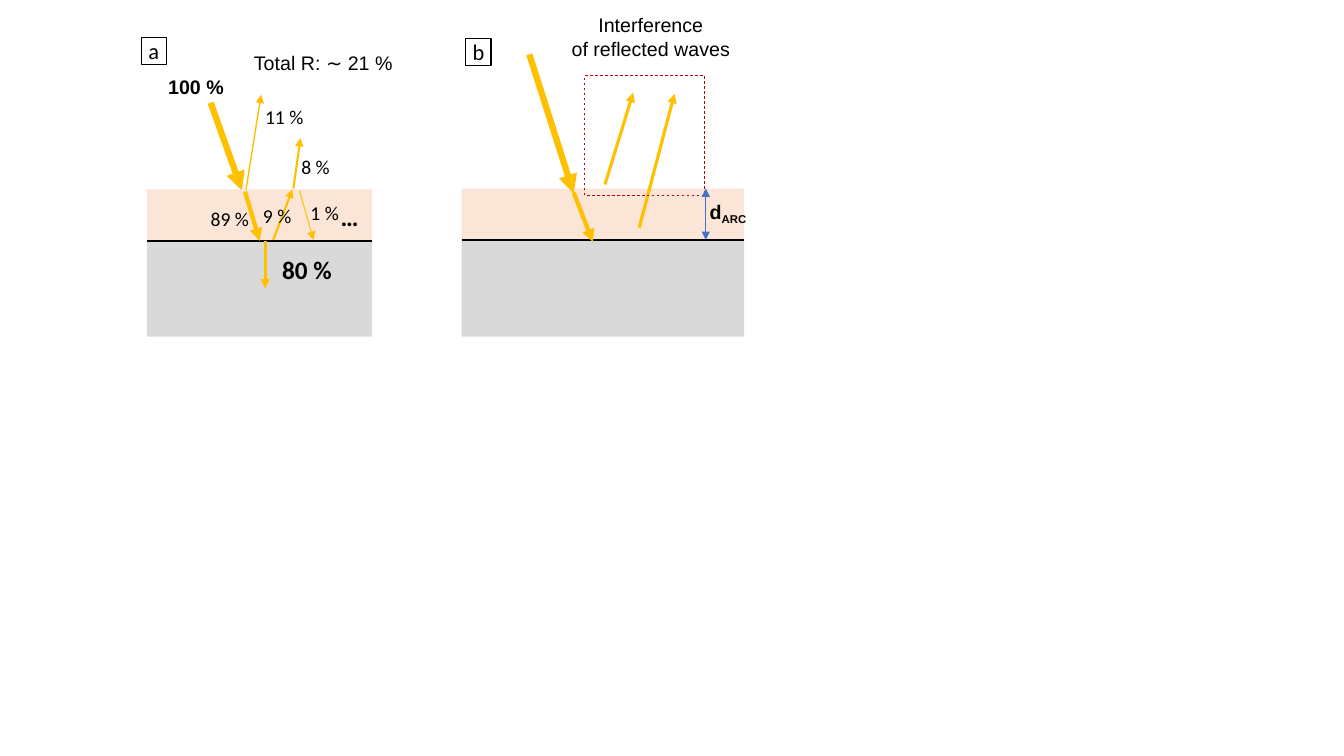
from lxml import etree
from pptx import Presentation
from pptx.dml.color import RGBColor
from pptx.enum import dml, shapes, text
from pptx.oxml import ns
from pptx.util import Inches, Pt

BLACK = RGBColor(0x00, 0x00, 0x00)
WHITE = RGBColor(0xFF, 0xFF, 0xFF)
FILM = RGBColor(0xFB, 0xE5, 0xD6)
SUBSTRATE = RGBColor(0xD9, 0xD9, 0xD9)
LIGHT = RGBColor(0xFF, 0xC0, 0x00)
DARK_RED = RGBColor(0xC0, 0x00, 0x00)
BLUE = RGBColor(0x44, 0x72, 0xC4)


def write(tf, content, font="Calibri", size=14, bold=False, centred=False, subscript=""):
    """Fill a text frame, one paragraph per line, with an optional closing subscript."""
    for i, line in enumerate(content.split("\n")):
        p = tf.paragraphs[0] if i == 0 else tf.add_paragraph()
        p.alignment = text.PP_ALIGN.CENTER if centred else text.PP_ALIGN.LEFT
        for part in filter(None, (line, subscript)):
            r = p.add_run()
            r.text = part
            r.font.name = font
            r.font.size = Pt(size)
            r.font.bold = bold
            r.font.color.rgb = BLACK
            if part == subscript:
                r._r.get_or_add_rPr().set("baseline", "-25000")


class Diagram:
    def __init__(self, slide):
        self.shapes = slide.shapes

    def rect(self, x, y, w, h, fill=None, line=None, weight=0.75, dash=None):
        sp = self.shapes.add_shape(shapes.MSO_SHAPE.RECTANGLE,
                                   Inches(x), Inches(y), Inches(w), Inches(h))
        sp.shadow.inherit = False
        if fill is None:
            sp.fill.background()
        else:
            sp.fill.solid()
            sp.fill.fore_color.rgb = fill
        if line is None:
            sp.line.fill.background()
        else:
            sp.line.color.rgb = line
            sp.line.width = Pt(weight)
            sp.line.dash_style = dash
        return sp

    def line(self, start, end, weight, color=LIGHT, heads=("tailEnd",)):
        """Draw a straight line; tailEnd puts an arrowhead at its end, headEnd at its start."""
        ends = [Inches(v) for v in (*start, *end)]
        cxn = self.shapes.add_connector(shapes.MSO_CONNECTOR.STRAIGHT, *ends)
        cxn.line.color.rgb = color
        cxn.line.width = Pt(weight)
        ln = cxn.line._get_or_add_ln()
        for head in heads:
            etree.SubElement(ln, ns.qn("a:" + head), type="triangle")
        etree.SubElement(cxn._element.spPr, ns.qn("a:effectLst"))
        return cxn

    def label(self, x, y, w, h, content, wrap=False, **style):
        box = self.shapes.add_textbox(Inches(x), Inches(y), Inches(w), Inches(h))
        tf = box.text_frame
        tf.word_wrap = wrap
        tf.auto_size = text.MSO_AUTO_SIZE.SHAPE_TO_FIT_TEXT
        write(tf, content, **style)

    def layers(self, x, w, film_top, interface):
        """Draw coating, substrate and the line between them; return the substrate."""
        self.rect(x, film_top, w, 0.51, fill=FILM)
        substrate = self.rect(x, 2.39, w, 0.95, fill=SUBSTRATE)
        self.line((x, interface), (x + w, interface), 1, BLACK, heads=())
        return substrate

    def panel_letter(self, x, y, letter):
        tf = self.rect(x, y, 0.25, 0.27, fill=WHITE, line=BLACK).text_frame
        tf.margin_left = tf.margin_right = tf.margin_top = tf.margin_bottom = 0
        tf.auto_size = text.MSO_AUTO_SIZE.SHAPE_TO_FIT_TEXT
        write(tf, letter, size=16, centred=True)


def draw_intensities(d):
    d.line((2.09, 1.02), (2.4, 1.89), 4.5)
    substrate = d.layers(1.46, 2.23, 1.88, 2.39)
    transmitted = d.line((2.43, 1.9), (2.57, 2.39), 3)
    transmitted.end_connect(substrate, 0)
    for start, end, weight in [
        ((2.63, 2.39), (2.63, 2.86), 2.25),
        ((2.44, 1.88), (2.59, 0.94), 1),
        ((2.71, 2.38), (2.9, 1.88), 1.5),
        ((2.91, 1.87), (2.98, 1.37), 1.5),
        ((2.97, 1.89), (3.11, 2.38), 0.75),
    ]:
        d.line(start, end, weight)
    for x, y, w, share in [
        (2.53, 0.99, 0.59, "11 %"),
        (1.99, 2, 0.59, "89 %"),
        (2.51, 1.97, 0.49, "9 %"),
        (2.89, 1.49, 0.49, "8 %"),
        (2.98, 1.94, 0.49, "1 %"),
    ]:
        d.label(x, y, w, 0.34, share)
    d.label(1.57, 0.69, 0.76, 0.34, "100 %", font="Arial", bold=True)
    d.label(2.7, 2.47, 0.7, 0.4, "80 %", size=18, bold=True)
    d.label(2.42, 0.46, 1.71, 0.34, "Total R: ∼ 21 %", wrap=True, font="Arial")
    d.label(3.28, 1.95, 0.39, 0.4, "…", wrap=True, size=18, bold=True)
    d.panel_letter(1.4, 0.37, "a")


def draw_interference(d):
    d.layers(4.58, 2.8, 1.87, 2.38)
    for start, end, weight in [
        ((5.25, 0.54), (5.69, 1.92), 4.5),
        ((5.69, 1.91), (5.88, 2.4), 3),
        ((6, 1.83), (6.28, 0.92), 2.25),
        ((6.34, 2.26), (6.69, 0.93), 2.25),
    ]:
        d.line(start, end, weight)
    d.rect(5.8, 0.75, 1.19, 1.19, line=DARK_RED, weight=0.5, dash=dml.MSO_LINE.DASH)
    d.label(5.38, 0.08, 2.15, 0.57, "Interference\nof reflected waves",
            wrap=True, font="Arial", centred=True)
    d.line((7, 1.87), (7, 2.38), 0.5, BLUE, heads=("headEnd", "tailEnd"))
    d.label(6.94, 1.93, 0.61, 0.34, "d", font="Arial", bold=True, subscript="ARC")
    d.panel_letter(4.62, 0.38, "b")


def main():
    prs = Presentation()
    prs.slide_width = Inches(13.33)
    prs.slide_height = Inches(7.5)
    d = Diagram(prs.slides.add_slide(prs.slide_layouts[6]))
    draw_intensities(d)
    draw_interference(d)
    prs.save("out.pptx")


if __name__ == "__main__":
    main()
